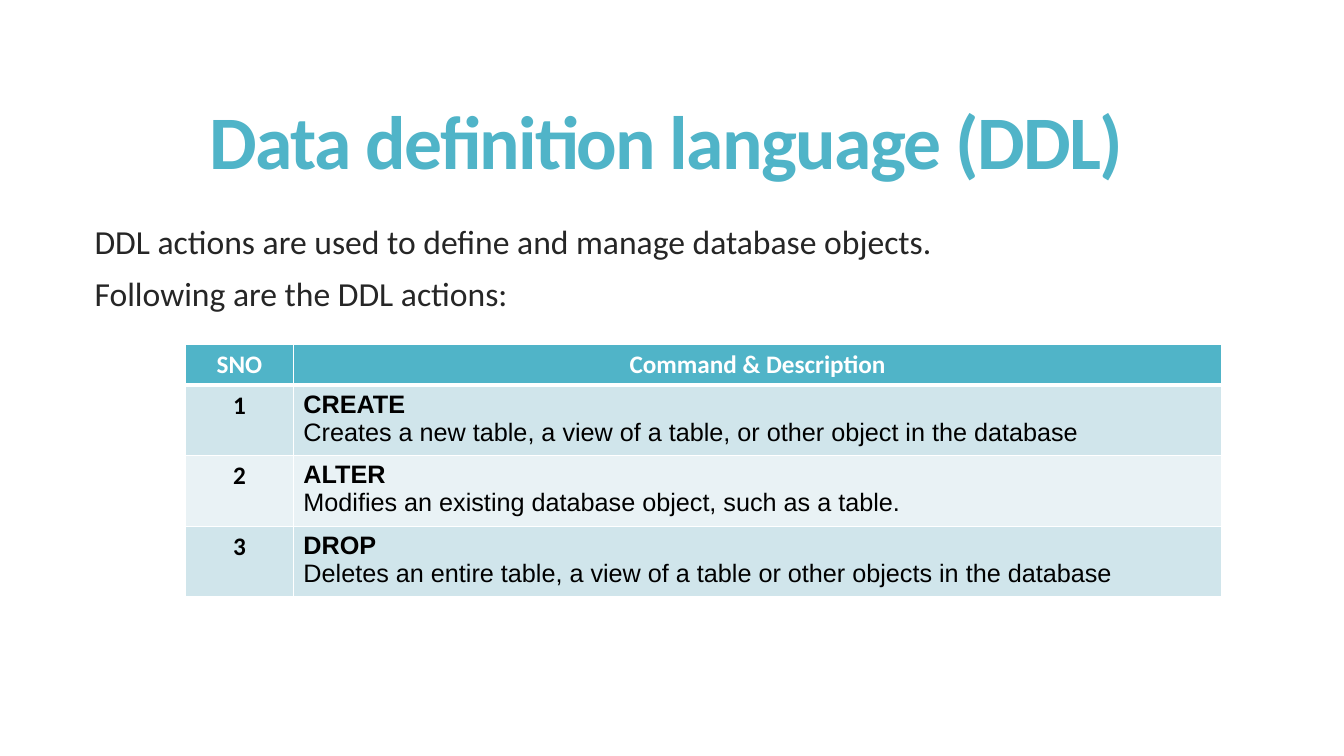
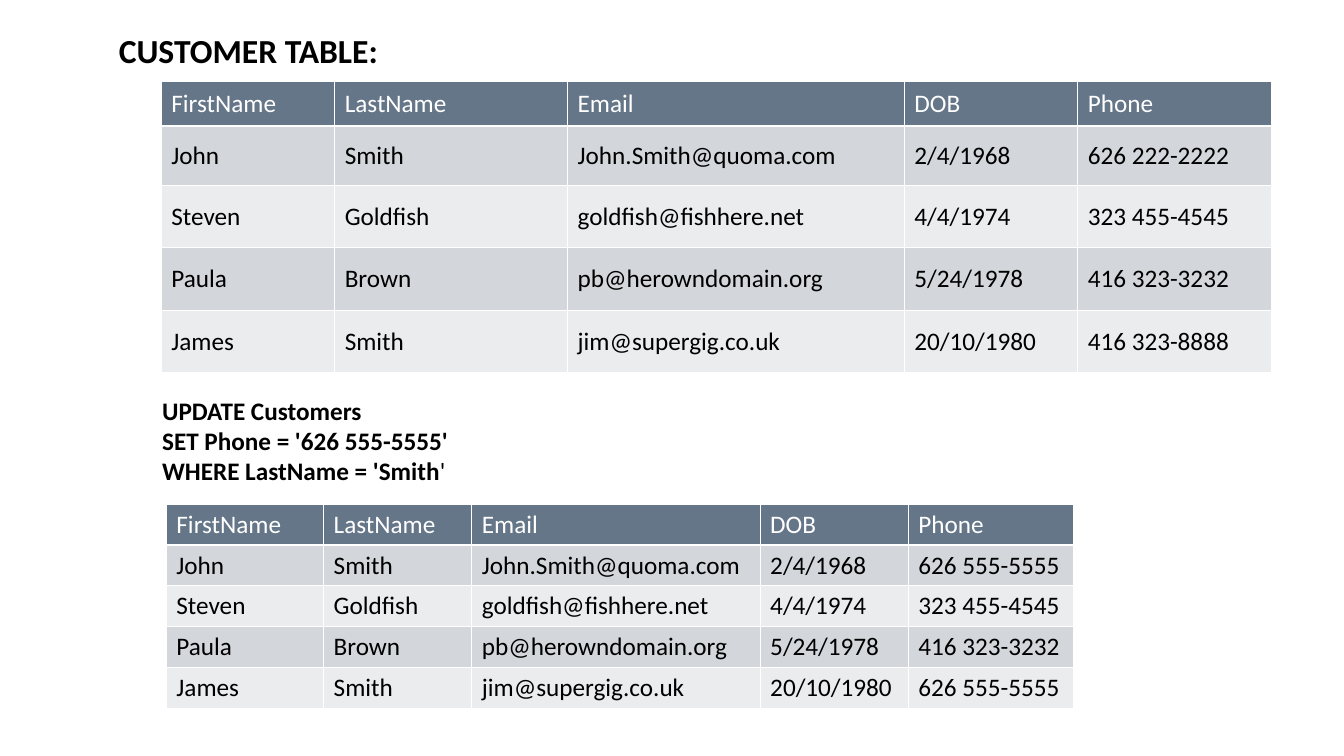
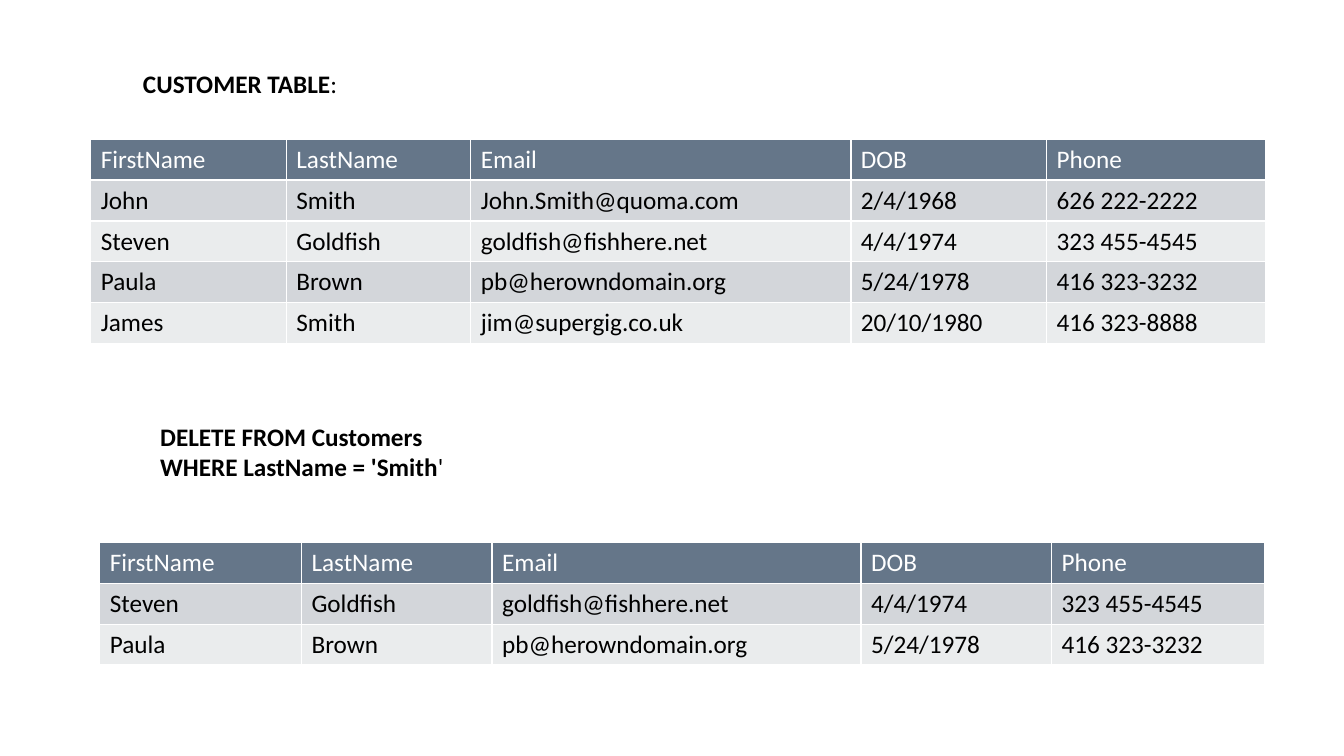
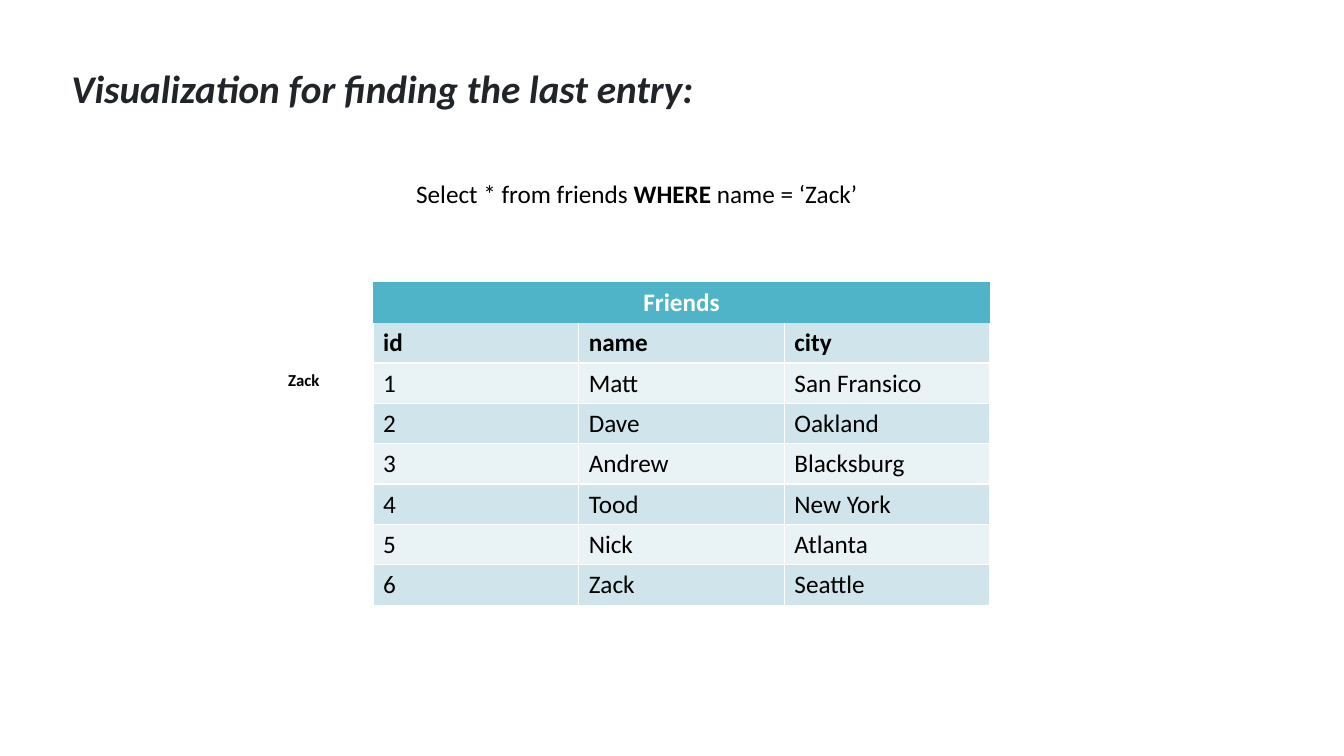
from lxml import etree
from pptx import Presentation
from pptx import util as u
from pptx.dml import color
from pptx.enum import text as t
from pptx.oxml import ns

COLORS = {
    "teal": "50B4C8", "teal_dark": "D0E5EB", "teal_light": "E9F2F5",
    "slate": "657689", "slate_dark": "D3D6DA", "slate_light": "EAECED",
    "white": "FFFFFF", "black": "000000", "body": "262626", "heading": "212529",
}
CENTER = t.PP_ALIGN.CENTER
MIDDLE = t.MSO_ANCHOR.MIDDLE
LABEL = {"bold": True}
PLAIN = {"bold": False}

FIELDS = ["FirstName", "LastName", "Email", "DOB", "Phone"]
CUSTOMERS = [
    ["John", "Smith", "John.Smith@quoma.com", "2/4/1968", "626 222-2222"],
    ["Steven", "Goldfish", "goldfish@fishhere.net", "4/4/1974", "323 455-4545"],
    ["Paula", "Brown", "pb@herowndomain.org", "5/24/1978", "416 323-3232"],
    ["James", "Smith", "jim@supergig.co.uk", "20/10/1980", "416 323-8888"],
]
UPDATED = [row[:4] + ["626 555-5555"] if row[1] == "Smith" else row for row in CUSTOMERS]
REMAINING = [row for row in CUSTOMERS if row[1] != "Smith"]
ACTIONS = [
    ("CREATE", "Creates a new table, a view of a table, or other object in the database"),
    ("ALTER", "Modifies an existing database object, such as a table."),
    ("DROP", "Deletes an entire table, a view of a table or other objects in the database"),
]
FRIENDS = [
    ("Matt", "San Fransico"), ("Dave", "Oakland"), ("Andrew", "Blacksburg"),
    ("Tood", "New York"), ("Nick", "Atlanta"), ("Zack", "Seattle"),
]


def rgb(name):
    return color.RGBColor.from_string(COLORS[name])


def add_span(para, text, size=18, font="Calibri", ink="black", bold=False, italic=False, tracking=0):
    span = para.add_run()
    span.text = text
    span.font.size = u.Pt(size)
    span.font.name = font
    span.font.bold = bold
    span.font.italic = italic
    span.font.color.rgb = rgb(ink)
    if tracking:
        span.font._element.set("spc", str(round(tracking * 100)))


def write(frame, paragraphs, align=None, spacing=None, before=0, **style):
    for index, spans in enumerate(paragraphs):
        para = frame.add_paragraph() if index else frame.paragraphs[0]
        para.alignment = align
        para.line_spacing = spacing
        if index and before:
            para.space_before = u.Pt(before)
        if isinstance(spans, str):
            spans = [(spans, {})]
        for text, changes in spans:
            add_span(para, text, **{**style, **changes})


def set_border(cell, edges):
    properties = cell._tc.get_or_add_tcPr()
    for index, (side, width) in enumerate(zip("LRTB", edges)):
        line = etree.Element(ns.qn(f"a:ln{side}"), w=str(u.Pt(width)))
        if width:
            fill = etree.SubElement(line, ns.qn("a:solidFill"))
            etree.SubElement(fill, ns.qn("a:srgbClr"), val=COLORS["white"])
        else:
            etree.SubElement(line, ns.qn("a:noFill"))
        properties.insert(index, line)


class Deck:
    def __init__(self):
        self.deck = Presentation()
        self.deck.slide_width = u.Inches(13.33)
        self.deck.slide_height = u.Inches(7.5)
        self.page = None

    def add_page(self):
        self.page = self.deck.slides.add_slide(self.deck.slide_layouts[6])

    def add_text(self, place, *paragraphs, anchor=t.MSO_ANCHOR.TOP, **style):
        box = self.page.shapes.add_textbox(*map(u.Inches, place))
        box.text_frame.word_wrap = True
        box.text_frame.vertical_anchor = anchor
        write(box.text_frame, paragraphs, **style)

    def add_table(self, left, top, widths, heights, rows, theme, style_of, anchor=None, rule=1):
        frame = self.page.shapes.add_table(
            len(rows), len(widths), u.Inches(left), u.Inches(top),
            u.Inches(sum(widths)), u.Inches(sum(heights)))
        table = frame.table
        table.first_row = table.horz_banding = False
        for column, width in zip(table.columns, widths):
            column.width = u.Inches(width)
        for r, (values, height) in enumerate(zip(rows, heights)):
            table.rows[r].height = u.Inches(height)
            shade = theme if r == 0 else theme + ("_dark" if r % 2 else "_light")
            side = min(rule, 1) if r == 0 else 1
            edges = (side, side, rule if r == 1 else side, rule if r == 0 else 1)
            for c, value in enumerate(values):
                cell = table.cell(r, c)
                cell.fill.solid()
                cell.fill.fore_color.rgb = rgb(shade)
                set_border(cell, edges)
                cell.vertical_anchor = anchor
                if value:
                    paragraphs = [value] if isinstance(value, str) else value
                    write(cell.text_frame, paragraphs, **style_of(r, c))

    def add_customers(self, left, top, widths, customers, heights=None):
        rows = [FIELDS] + customers
        self.add_table(left, top, widths, heights or [0.406] * len(rows), rows, "slate",
                       lambda r, c: {"ink": "black" if r else "white"}, anchor=MIDDLE)

    def save(self):
        self.deck.save("out.pptx")


def action_style(row, column):
    if row == 0:
        return {"align": CENTER, "ink": "white", "bold": True}
    return {"font": "Arial"} if column else {"align": CENTER, "bold": True}


def friend_style(row, column):
    if row == 0:
        return {"align": CENTER, "ink": "white", "bold": True}
    return {"bold": row == 1}


def add_definition_page(deck):
    deck.add_page()
    deck.add_text((0.72, 0.55, 11.78, 1.81), "Data definition language (DDL)", anchor=MIDDLE,
                  align=CENTER, spacing=0.85, size=54, ink="teal", bold=True, tracking=-1.2)
    deck.add_text((0.84, 2.2, 11.66, 1.1),
                  "DDL actions are used to define and manage database objects.",
                  "Following are the DDL actions:",
                  spacing=0.85, before=13, size=24, ink="body")
    rows = [["SNO", "Command & Description"]]
    for number, (command, description) in enumerate(ACTIONS, 1):
        rows.append([str(number), [[(command, LABEL)], description]])
    deck.add_table(1.84, 3.42, [1.07, 9.21], [0.4] + [0.66] * 3, rows, "teal",
                   action_style, rule=3)


def add_update_page(deck):
    deck.add_page()
    deck.add_customers(1.6, 0.81, [1.72, 2.31, 3.34, 1.72, 1.92], CUSTOMERS,
                       [0.44, 0.59, 0.62, 0.62, 0.62])
    deck.add_text((1.51, 3.87, 8, 1.01), "UPDATE Customers", "SET Phone = '626 555-5555'",
                  [("WHERE LastName = 'Smith", {}), ("'", PLAIN)], bold=True)
    deck.add_customers(1.65, 5, [1.56, 1.47, 2.86, 1.47, 1.64], UPDATED)
    deck.add_text((1.08, 0.25, 3, 0.5), "CUSTOMER TABLE:", size=24, bold=True)


def add_delete_page(deck):
    deck.add_page()
    deck.add_customers(0.9, 1.38, [1.94, 1.83, 3.77, 1.94, 2.17], CUSTOMERS)
    deck.add_text((1.49, 4.13, 10.66, 0.71), "DELETE FROM Customers",
                  [("WHERE LastName = 'Smith", {}), ("'", PLAIN)], bold=True)
    deck.add_customers(0.99, 5.38, [2, 1.89, 3.66, 1.89, 2.11], REMAINING)
    deck.add_text((1.32, 0.63, 3.14, 0.4), [("CUSTOMER TABLE", LABEL), (":", PLAIN)])


def add_search_page(deck):
    deck.add_page()
    deck.add_text((2.76, 3.62, 0.73, 0.3), "Zack", size=12, bold=True)
    rows = [["", "Friends", ""], ["id", "name", "city"]]
    rows += [[str(number), *friend] for number, friend in enumerate(FRIENDS, 1)]
    deck.add_table(3.7, 2.8, [2.04] * 3, [0.4] * len(rows), rows, "teal", friend_style, rule=0)
    deck.add_text((3.09, 1.72, 6.45, 0.4),
                  [("Select * from friends ", {}), ("WHERE", LABEL), (" name = ‘Zack’", {})],
                  align=CENTER)
    deck.add_text((0.61, 0.59, 7.33, 0.57), "Visualization for finding the last entry:",
                  size=28, ink="heading", bold=True, italic=True)


def main():
    deck = Deck()
    add_definition_page(deck)
    add_update_page(deck)
    add_delete_page(deck)
    add_search_page(deck)
    deck.save()


if __name__ == "__main__":
    main()
